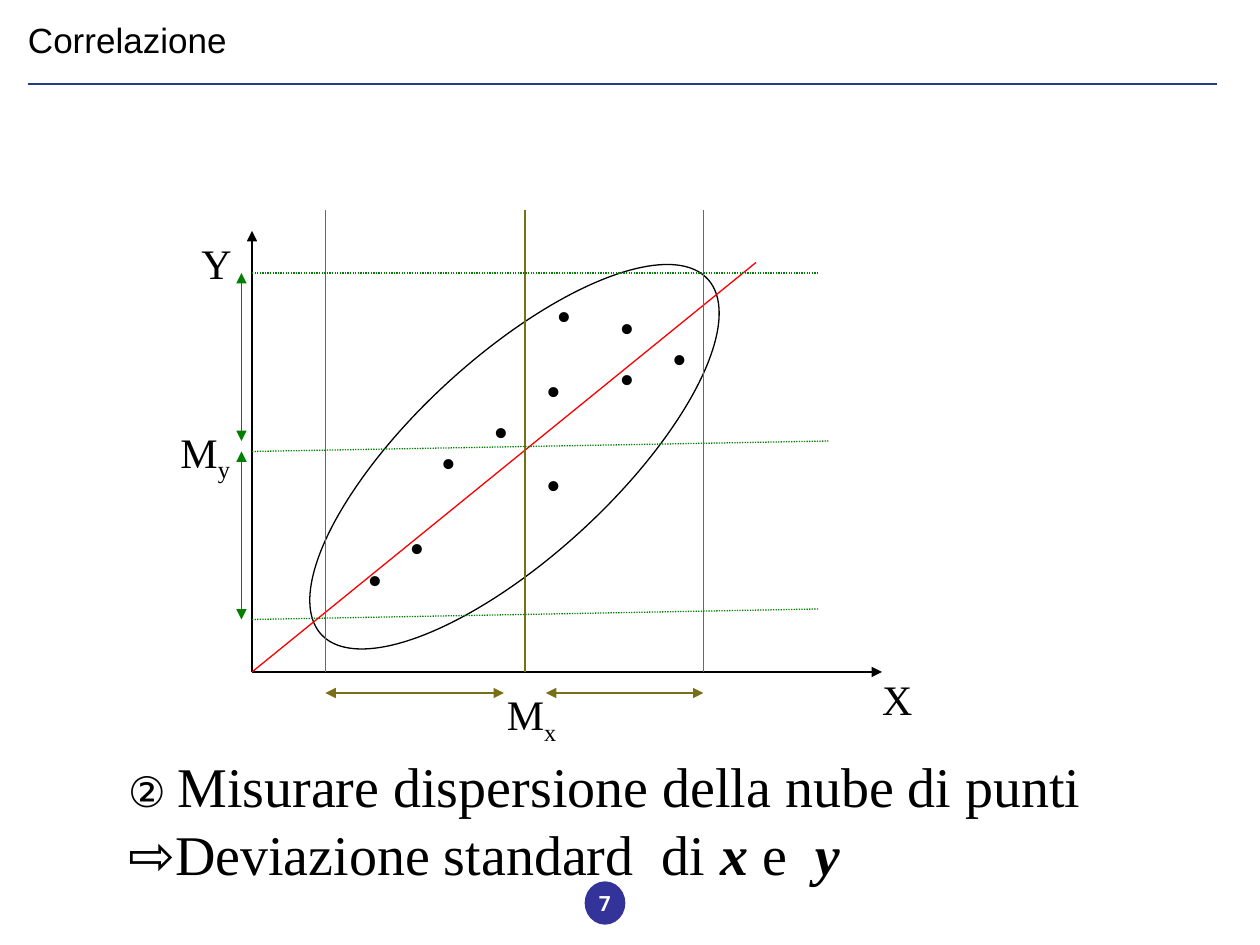
from dataclasses import dataclass

from lxml import etree
from pptx import Presentation
from pptx.dml.color import RGBColor
from pptx.enum.dml import MSO_LINE
from pptx.enum.shapes import MSO_CONNECTOR, MSO_SHAPE
from pptx.enum.text import MSO_ANCHOR, MSO_AUTO_SIZE, PP_ALIGN
from pptx.oxml.ns import qn
from pptx.util import Pt

STRAIGHT = MSO_CONNECTOR.STRAIGHT
ELLIPSE = MSO_SHAPE.OVAL
BADGE = MSO_SHAPE.FLOWCHART_CONNECTOR
DOTTED = MSO_LINE.ROUND_DOT
TOP, MIDDLE = MSO_ANCHOR.TOP, MSO_ANCHOR.MIDDLE
LEFT, CENTER = PP_ALIGN.LEFT, PP_ALIGN.CENTER


@dataclass(frozen=True)
class Theme:
    ink: str = "000000"
    white: str = "FFFFFF"
    rule: str = "1E3F82"
    badge: str = "333399"
    trend: str = "FF0000"
    x_guide: str = "787019"
    y_guide: str = "008000"
    sans: str = "Arial"
    serif: str = "Times New Roman"
    number: str = "Roboto"
    title_size: int = 20
    label_size: int = 24
    body_size: int = 32
    number_size: int = 12
    thin: float = 0.75


T = Theme()

# Plot geometry in points
ORIGIN_X, ORIGIN_Y = 144, 384
X_GUIDES = (186, 300, 402)
Y_GUIDES = ((354, 468, 348), (258, 474, 252), (156, 468, 156))
X_SPANS = ((288, 186), (312, 402))
Y_SPANS = ((252, 156), (258, 354))
POINTS = ((203, 312.5), (227, 294.5), (245, 246), (275, 228), (305, 258.5),
          (305, 204.5), (347, 168.5), (311, 162), (347, 198), (377, 186.5))


def rgb(color):
    return RGBColor.from_string(color)


def add_run(p, text, *, size=T.label_size, font=T.serif, color=T.ink,
            bold=False, italic=False, baseline=None):
    r = p.add_run()
    r.text = text
    r.font.size, r.font.name = Pt(size), font
    r.font.bold, r.font.italic = bold, italic
    r.font.color.rgb = rgb(color)
    if baseline is not None:
        r.font._element.set("baseline", str(baseline * 1000))


def place(sp, left, top, width, height):
    sp.left, sp.top, sp.width, sp.height = map(Pt, (left, top, width, height))


def setup_frame(tf, *, wrap, anchor=TOP, inset=(7.2, 3.6)):
    tf.word_wrap, tf.vertical_anchor = wrap, anchor
    tf.auto_size = MSO_AUTO_SIZE.NONE
    tf.margin_left = tf.margin_right = Pt(inset[0])
    tf.margin_top = tf.margin_bottom = Pt(inset[1])


def add_label(s, left, top, width, text, subscript=None):
    sp = s.shapes.add_textbox(Pt(left), Pt(top), Pt(width), Pt(36))
    setup_frame(sp.text_frame, wrap=False)
    p = sp.text_frame.paragraphs[0]
    add_run(p, text)
    if subscript:
        add_run(p, subscript, baseline=-25)


def add_line(s, x1, y1, x2, y2, color, *, width=T.thin, dash=None, arrows=()):
    ln = s.shapes.add_connector(STRAIGHT, Pt(x1), Pt(y1), Pt(x2), Pt(y2))
    ln.line.color.rgb = rgb(color)
    ln.line.width = Pt(width)
    if dash:
        ln.line.dash_style = dash
    for end in arrows:
        etree.SubElement(ln.line._get_or_add_ln(), qn(f"a:{end}"), type="triangle")
    etree.SubElement(ln._element.spPr, qn("a:effectLst"))


def add_outline(s, kind, box, color, *, fill=None, rotation=0):
    sp = s.shapes.add_shape(kind, *map(Pt, box))
    sp.shadow.inherit = False
    sp.rotation = rotation
    sp.line.color.rgb, sp.line.width = rgb(color), Pt(T.thin)
    if fill:
        sp.fill.solid()
        sp.fill.fore_color.rgb = rgb(fill)
    else:
        sp.fill.background()
    return sp


def add_frame(s):
    # Title, rule below it and page number
    title = s.shapes.title
    place(title, 16, 11, 645, 23)
    setup_frame(title.text_frame, wrap=True, anchor=MIDDLE, inset=(0, 0))
    p = title.text_frame.paragraphs[0]
    p.alignment = LEFT
    add_run(p, "Correlazione", size=T.title_size, font=T.sans)
    add_line(s, 16, 48, 695.5, 48, T.rule, width=1)

    badge = add_outline(s, BADGE, (334.5, 504, 22.5, 24), T.badge, fill=T.badge)
    setup_frame(badge.text_frame, wrap=False, anchor=MIDDLE)
    p = badge.text_frame.paragraphs[0]
    p.alignment = CENTER
    add_run(p, "7", size=T.number_size, font=T.number, color=T.white, bold=True)


def add_plot(s):
    # Axes and their labels
    add_line(s, ORIGIN_X, ORIGIN_Y, 504, ORIGIN_Y, T.ink, arrows=["tailEnd"])
    add_line(s, ORIGIN_X, ORIGIN_Y, ORIGIN_X, 132, T.ink, arrows=["tailEnd"])
    add_label(s, 497, 381.5, 32, "X")
    add_label(s, 108, 132, 32, "Y")
    add_label(s, 282.5, 390, 43, "M", "x")
    add_label(s, 96, 240, 43, "M", "y")

    # Cloud outline and trend
    add_outline(s, ELLIPSE, (237, 111, 114, 300), T.ink, rotation=227.4)
    add_line(s, ORIGIN_X, ORIGIN_Y, 432, 150, T.trend)

    # Guides for mean and spread
    for x in X_GUIDES:
        add_line(s, x, ORIGIN_Y, x, 120, T.x_guide)
    for y1, x2, y2 in Y_GUIDES:
        add_line(s, ORIGIN_X, y1, x2, y2, T.y_guide, dash=DOTTED)
    both = ["headEnd", "tailEnd"]
    for x1, x2 in X_SPANS:
        add_line(s, x1, 396, x2, 396, T.x_guide, arrows=both)
    for y1, y2 in Y_SPANS:
        add_line(s, 138, y1, 138, y2, T.y_guide, arrows=both)

    # Data points
    for left, top in POINTS:
        add_label(s, left, top, 22.5, "•")


def add_body(s):
    body = s.placeholders[1]
    place(body, 66, 426, 588, 84)
    setup_frame(body.text_frame, wrap=True)
    p = body.text_frame.paragraphs[0]
    p.space_before = Pt(0)
    pPr = p._p.get_or_add_pPr()
    pPr.set("marL", "0")
    pPr.set("indent", "0")
    etree.SubElement(pPr, qn("a:buNone"))
    size = T.body_size
    add_run(p, "② ", font=T.sans)
    add_run(p, "Misurare dispersione della nube di punti ", size=size)
    add_run(p, "⇨", size=size, font=T.sans)
    add_run(p, "Deviazione standard  di ", size=size)
    add_run(p, "x", size=size, bold=True, italic=True)
    add_run(p, " e  ", size=size)
    add_run(p, "y", size=size, bold=True, italic=True)


def main():
    prs = Presentation()
    prs.slide_width, prs.slide_height = Pt(720), Pt(540)
    s = prs.slides.add_slide(prs.slide_layouts[1])
    add_frame(s)
    add_plot(s)
    add_body(s)
    prs.save("out.pptx")


if __name__ == "__main__":
    main()
